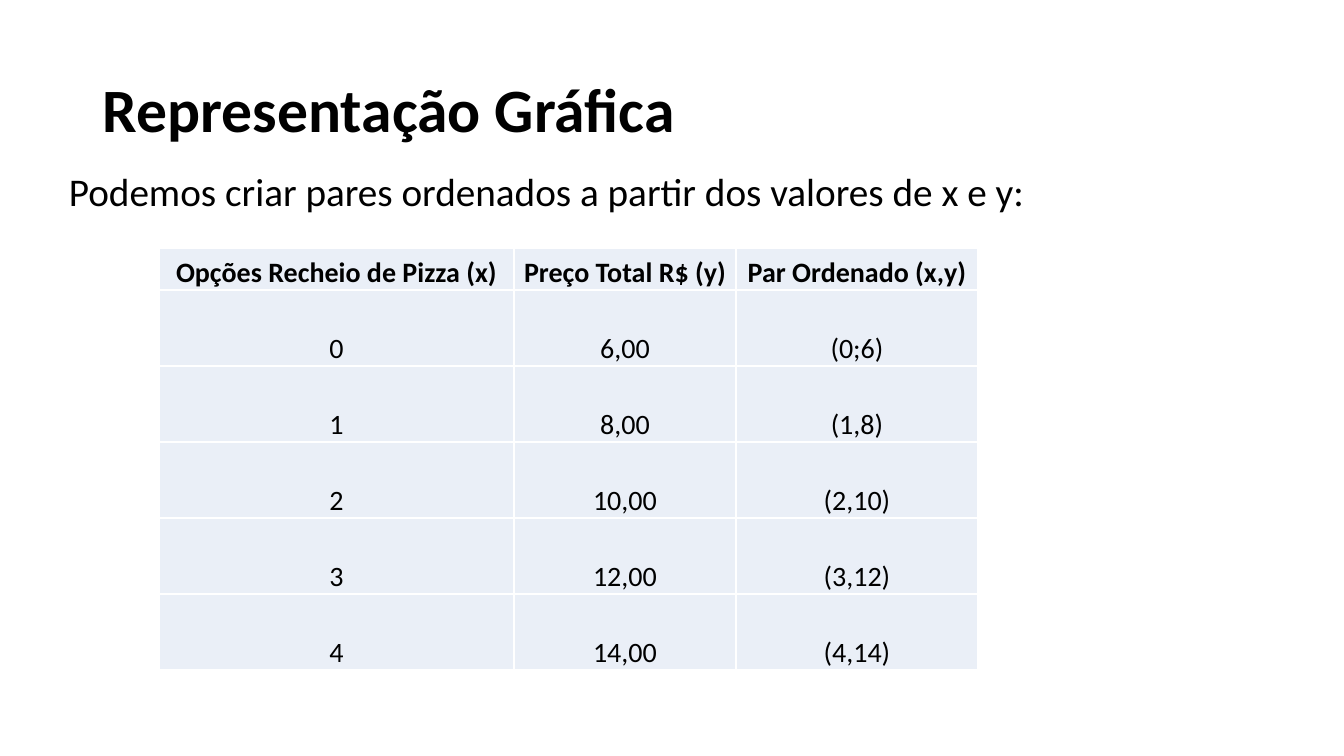
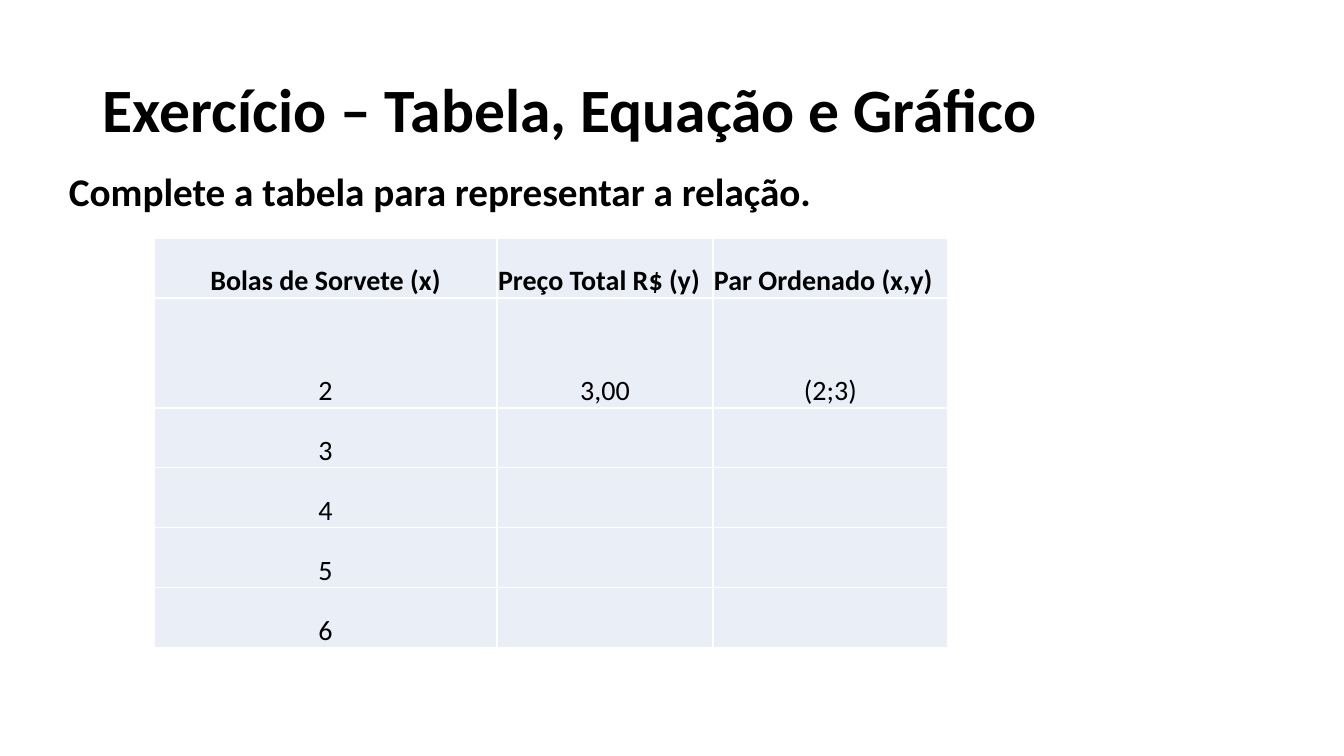
from lxml import etree
from pptx import Presentation
from pptx.dml.color import RGBColor
from pptx.enum.text import MSO_ANCHOR, PP_ALIGN
from pptx.oxml.ns import qn
from pptx.util import Pt

EMU_PER_PX = 914400 / 100.8
SLIDE_SIZE = (1344, 756)
TITLE_BOX = (93, 40, 1159, 146)
BODY_BOX = (59, 168, 1192, 513)

FONT = "Calibri"
BLACK = RGBColor(0x00, 0x00, 0x00)
WHITE = RGBColor(0xFF, 0xFF, 0xFF)
PALE_BLUE = RGBColor(0xEA, 0xEF, 0xF7)

LEFT, CENTER, JUSTIFY = PP_ALIGN.LEFT, PP_ALIGN.CENTER, PP_ALIGN.JUSTIFY
TOP, MIDDLE, BOTTOM = MSO_ANCHOR.TOP, MSO_ANCHOR.MIDDLE, MSO_ANCHOR.BOTTOM


def px(length):
    return round(length * EMU_PER_PX)


def write(frame, text, size=20, bold=False, align=LEFT, line_spacing=1.0):
    paragraph = frame.paragraphs[0]
    paragraph.alignment = align
    paragraph.line_spacing = line_spacing
    run = paragraph.add_run()
    run.text = text
    run.font.name = FONT
    run.font.size = Pt(size)
    run.font.bold = bold
    run.font.color.rgb = BLACK


def add_text(slide, box, text, anchor=TOP, **style):
    frame = slide.shapes.add_textbox(*map(px, box)).text_frame
    frame.word_wrap = True
    frame.vertical_anchor = anchor
    write(frame, text, line_spacing=0.9, **style)


def add_borders(cell):
    properties = cell._tc.get_or_add_tcPr()
    for side in ("lnL", "lnR", "lnT", "lnB"):
        line = etree.SubElement(properties, qn(f"a:{side}"), w=str(Pt(1)))
        fill = etree.SubElement(line, qn("a:solidFill"))
        etree.SubElement(fill, qn("a:srgbClr"), val=str(WHITE))


def format_cell(cell):
    add_borders(cell)
    cell.fill.solid()
    cell.fill.fore_color.rgb = PALE_BLUE
    cell.vertical_anchor = BOTTOM
    cell.margin_left = cell.margin_right = cell.margin_top = px(1)
    cell.margin_bottom = 0


def add_table(slide, left, top, widths, heights, rows, header_aligns):
    table = slide.shapes.add_table(
        len(heights), len(widths), px(left), px(top),
        px(sum(widths)), px(sum(heights))).table
    table.first_row = table.horz_banding = False
    for column, width in zip(table.columns, widths):
        column.width = px(width)
    for row, height in zip(table.rows, heights):
        row.height = px(height)
    for r, values in enumerate(rows):
        for c, value in enumerate(values):
            cell = table.cell(r, c)
            format_cell(cell)
            if value:
                align = header_aligns[c] if r == 0 else CENTER
                write(cell.text_frame, value, bold=r == 0, align=align)


def add_slide(deck, title):
    slide = deck.slides.add_slide(deck.slide_layouts[6])
    add_text(slide, TITLE_BOX, title, anchor=MIDDLE, size=44, bold=True)
    return slide


def build_pizza_slide(deck):
    slide = add_slide(deck, "Representação Gráfica")
    add_text(slide, BODY_BOX,
             "Podemos criar pares ordenados a partir dos valores de x e y:",
             size=28, align=JUSTIFY)
    rows = [
        ("Opções Recheio de Pizza (x)", "Preço Total R$ (y)", "Par Ordenado (x,y)"),
        ("0", "6,00", "(0;6)"),
        ("1", "8,00", "(1,8)"),
        ("2", "10,00", "(2,10)"),
        ("3", "12,00", "(3,12)"),
        ("4", "14,00", "(4,14)"),
    ]
    add_table(slide, 159, 248, (355, 222, 242), [42] + [76] * 5, rows,
              header_aligns=(CENTER, CENTER, CENTER))


def build_ice_cream_slide(deck):
    slide = add_slide(deck, "Exercício – Tabela, Equação e Gráfico")
    add_text(slide, BODY_BOX, "Complete a tabela para representar a relação.",
             size=28, bold=True)
    rows = [
        ("Bolas de Sorvete (x)", "Preço Total R$ (y)", "Par Ordenado (x,y)"),
        ("2", "3,00", "(2;3)"),
        # Rows left for the student to complete
        *((str(scoops), "", "") for scoops in range(3, 7)),
    ]
    add_table(slide, 154, 238, (343, 216, 235), [60, 110] + [60] * 4, rows,
              header_aligns=(CENTER, LEFT, LEFT))


def main():
    deck = Presentation()
    deck.slide_width, deck.slide_height = map(px, SLIDE_SIZE)
    build_pizza_slide(deck)
    build_ice_cream_slide(deck)
    deck.save("out.pptx")


if __name__ == "__main__":
    main()
